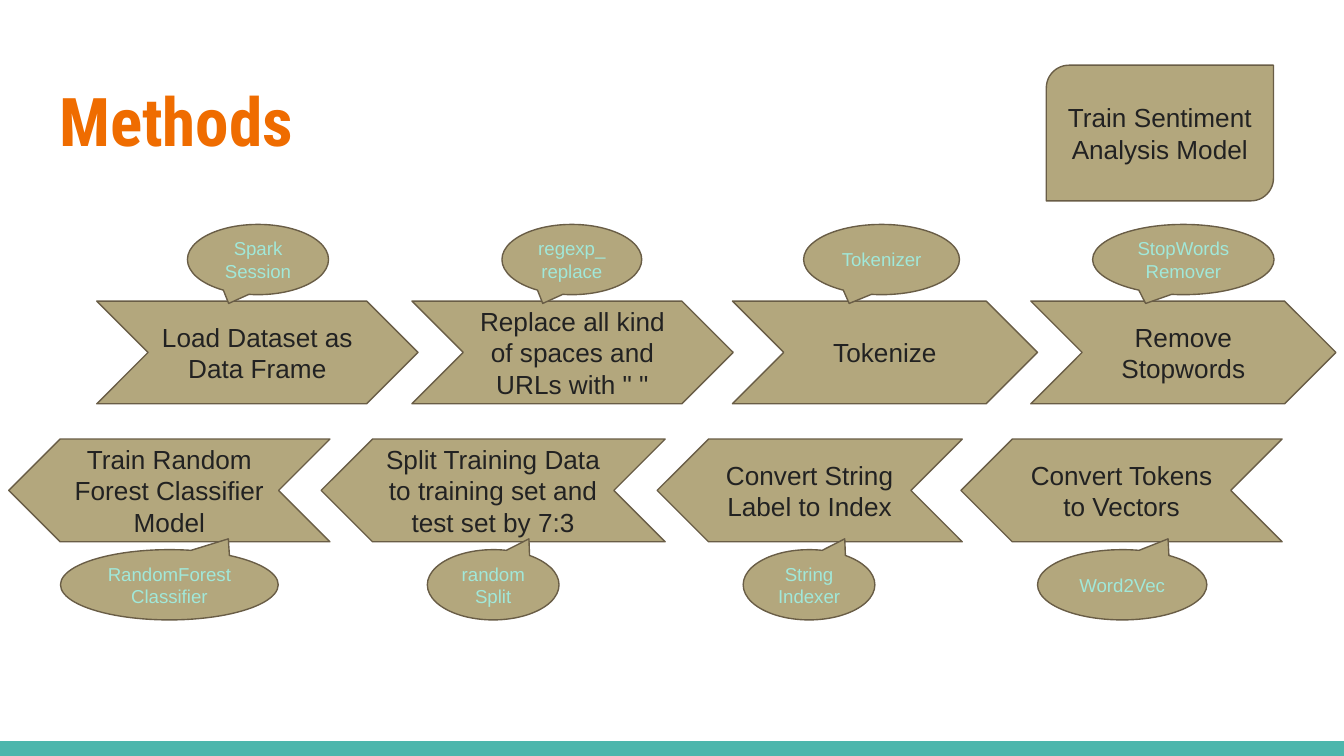
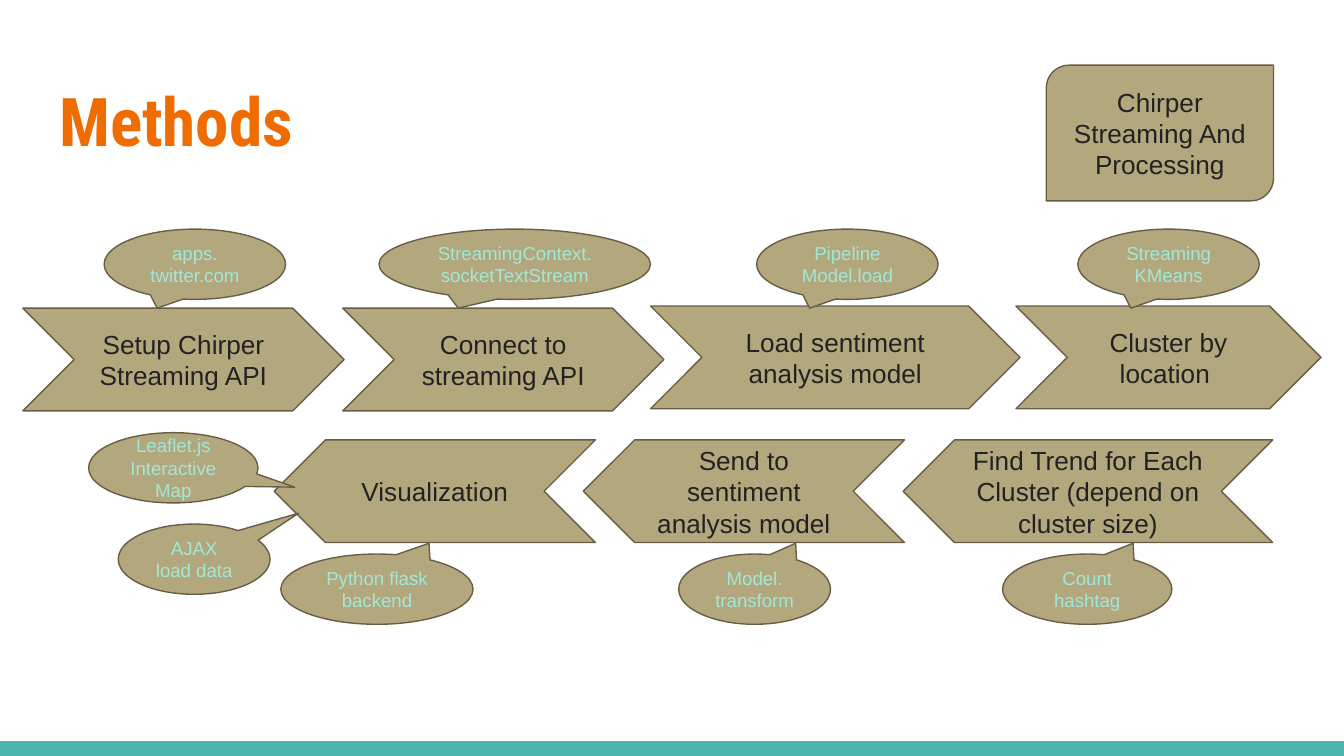
from collections import namedtuple

from pptx import Presentation
from pptx import util as u
from pptx.dml.color import RGBColor
from pptx.enum import shapes, text

# Grid: 100 columns across, 56.25 rows down, each cell 0.1 inch
COLS, ROWS = 100, 56.25
CELL = u.Inches(0.1)

TEAL, ORANGE = "4DB6AC", "EF6C00"
SAND, BROWN = "B3A77D", "695D46"
INK, MINT = "222222", "A1E8D9"
STEP_FONT = {"name": "Arial", "size": u.Pt(14)}
NOTE_FONT = {"name": "Arial", "size": u.Pt(10)}
TITLE_FONT = {"name": "Roboto Condensed", "size": u.Pt(36), "bold": True}

ARROW_ROWS, NOTE_ROWS = 7.64, 5.23
POINT_DOWN, POINT_UP = (-0.208, 0.625), (0.271, -0.654)

# A step has an arrow and, at its edge, a note naming the tool used
Step = namedtuple("Step", "col cols label note_col note_cols note")

TRAINING_OUT = [
    Step(7.2, 23.9, "Load Dataset as Data Frame", 13.95, 10.5, "Spark Session"),
    Step(30.65, 23.9, 'Replace all kind of spaces and URLs with " "', 37.35, 10.4, "regexp_replace"),
    Step(54.5, 22.7, "Tokenize", 59.8, 11.6, "Tokenizer"),
    Step(76.7, 22.7, "Remove Stopwords", 81.3, 13.5, "StopWords\nRemover"),
]
TRAINING_BACK = [
    Step(71.5, 23.9, "Convert Tokens to Vectors", 77.2, 12.6, "Word2Vec"),
    Step(48.9, 22.7, "Convert String Label to Index", 55.3, 9.8, "String\nIndexer"),
    Step(23.9, 25.6, "Split Training Data to training set and test set by 7:3", 31.8, 9.8, "randomSplit"),
    Step(0.65, 23.9, "Train Random Forest Classifier Model", 4.5, 16.2, "RandomForest\nClassifier"),
]
STREAMING_CONNECT = [
    Step(1.7, 23.9, "Setup Chirper Streaming API", 7.75, 13.5, "apps.\ntwitter.com"),
    Step(25.5, 23.9, "Connect to streaming API", 28.2, 20.2, "StreamingContext.\nsocketTextStream"),
]
STREAMING_MODEL = [
    Step(48.4, 27.5, "Load sentiment analysis model", 56.3, 13.5, "Pipeline\nModel.load"),
    Step(75.6, 22.7, "Cluster by location ", 80.2, 13.5, "Streaming\nKMeans"),
]
STREAMING_BACK = [
    Step(67.2, 27.5, "Find Trend for Each Cluster (depend on cluster size)", 74.6, 12.6, "Count hashtag"),
    Step(43.4, 23.9, "Send to sentiment analysis model", 50.5, 11.3, "Model.\ntransform"),
    Step(20.4, 23.9, "Visualization", 20.9, 14.3, "Python flask backend"),
]


def rgb(hex_code):
    return RGBColor.from_string(hex_code)


def cells(*counts):
    return [round(count * CELL) for count in counts]


def write(frame, words, font, color, align):
    """Fill a text frame, one paragraph for each line of words."""
    frame.text = words
    frame.word_wrap = True
    frame.auto_size = text.MSO_AUTO_SIZE.NONE
    for side in ("left", "top", "right", "bottom"):
        setattr(frame, f"margin_{side}", CELL)
    for paragraph in frame.paragraphs:
        paragraph.alignment = align
        for key, value in font.items():
            setattr(paragraph.font, key, value)
        paragraph.font.color.rgb = rgb(color)


def add_block(slide, kind, area, words, font=STEP_FONT, color=INK, adjust=()):
    """Add an outlined sand shape with centred text."""
    block = slide.shapes.add_shape(kind, *cells(*area))
    block.shadow.inherit = False
    block.fill.solid()
    block.fill.fore_color.rgb = rgb(SAND)
    block.line.color.rgb = rgb(BROWN)
    block.line.width = u.Pt(0.75)
    for index, value in enumerate(adjust):
        block.adjustments[index] = value
    write(block.text_frame, words, font, color, text.PP_ALIGN.CENTER)
    block.text_frame.vertical_anchor = text.MSO_ANCHOR.MIDDLE
    return block


def add_note(slide, col, row, cols, words, tip):
    add_block(slide, shapes.MSO_SHAPE.OVAL_CALLOUT, (col, row, cols, NOTE_ROWS),
              words, NOTE_FONT, MINT, tip)


def add_flow(slide, steps, arrow_row, note_row, backward=False):
    """Add a row of arrows with their notes; a backward row points left."""
    for step in steps:
        arrow = add_block(slide, shapes.MSO_SHAPE.CHEVRON,
                          (step.col, arrow_row, step.cols, ARROW_ROWS),
                          step.label, adjust=[0.5])
        if backward:
            arrow.element.spPr.get_or_add_xfrm().set("flipH", "1")
    for step in steps:
        add_note(slide, step.note_col, note_row, step.note_cols, step.note,
                 POINT_UP if backward else POINT_DOWN)


def add_band(prs, slide):
    """Put the bottom band on the master, so that every slide has it."""
    band = slide.shapes.add_shape(shapes.MSO_SHAPE.RECTANGLE,
                                  *cells(0, ROWS - 1.1, COLS, 1.1))
    band.shadow.inherit = False
    band.fill.solid()
    band.fill.fore_color.rgb = rgb(TEAL)
    band.line.fill.background()
    band.element.nvSpPr.cNvPr.set("id", "99")
    prs.slide_master.shapes.element.insert(2, band.element)


def add_methods_slide(prs, topic):
    """Add a slide with the shared title and the topic in its corner."""
    slide = prs.slides.add_slide(prs.slide_layouts.get_by_name("Title Only"))
    title = slide.shapes.title
    title.left, title.top, title.width, title.height = cells(3.4, 4.9, 93.2, 7.7)
    write(title.text_frame, "Methods", TITLE_FONT, ORANGE, text.PP_ALIGN.LEFT)
    title.text_frame.vertical_anchor = text.MSO_ANCHOR.TOP
    add_block(slide, shapes.MSO_SHAPE.ROUND_2_DIAG_RECTANGLE,
              (77.85, 4.85, 16.9, 10.1), topic, adjust=[0.167, 0])
    return slide


def main():
    prs = Presentation()
    prs.slide_width, prs.slide_height = cells(COLS, ROWS)

    # Training the model
    training = add_methods_slide(prs, "Train Sentiment Analysis Model")
    add_band(prs, training)
    add_flow(training, TRAINING_OUT, 22.4, 16.7)
    add_flow(training, TRAINING_BACK, 32.67, 40.9, backward=True)

    # Streaming and processing
    streaming = add_methods_slide(prs, "Chirper Streaming And Processing")
    add_flow(streaming, STREAMING_CONNECT, 22.93, 17.05)
    add_flow(streaming, STREAMING_MODEL, 22.77, 17.05)
    add_flow(streaming, STREAMING_BACK, 32.73, 41.23, backward=True)

    # Further notes on the visualization
    add_note(streaming, 8.8, 39, 11.3, "AJAX load data", (0.687, -0.655))
    add_note(streaming, 6.6, 32.2, 12.6, "Leaflet.js Interactive Map", (0.717, 0.275))

    prs.save("out.pptx")


if __name__ == "__main__":
    main()
